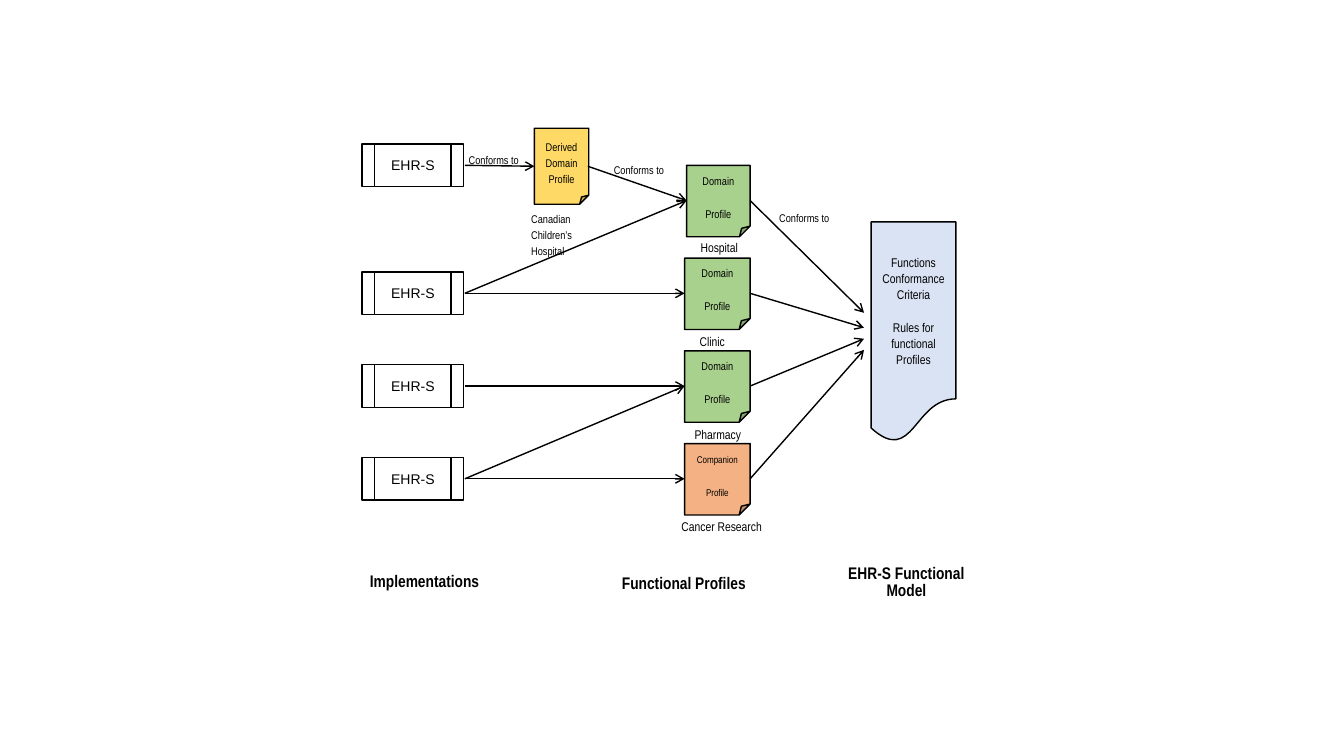
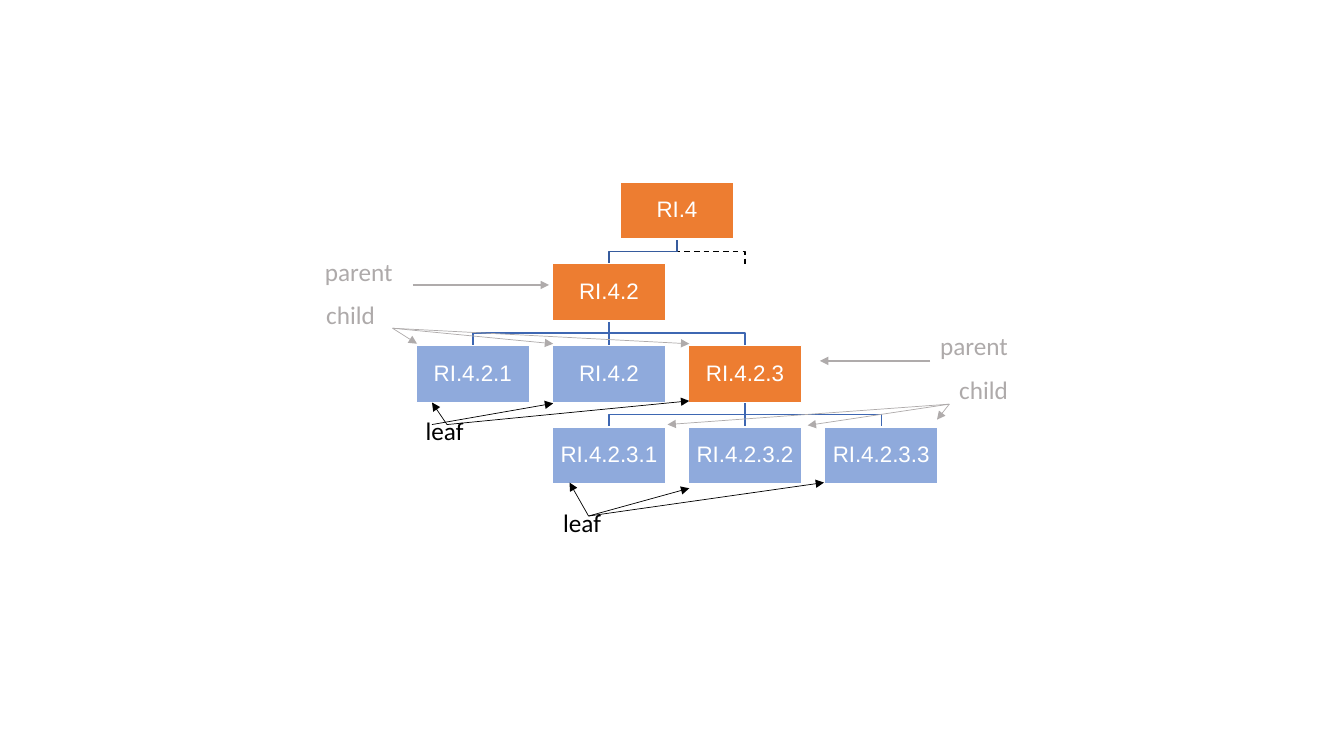
from dataclasses import dataclass

from lxml import etree
from pptx import Presentation
from pptx.dml.color import RGBColor
from pptx.enum.dml import MSO_LINE
from pptx.enum.shapes import MSO_CONNECTOR, MSO_SHAPE
from pptx.enum.text import MSO_ANCHOR, PP_ALIGN
from pptx.oxml.ns import qn
from pptx.util import Inches, Pt

PROCESS = MSO_SHAPE.FLOWCHART_PREDEFINED_PROCESS
DOCUMENT = MSO_SHAPE.FLOWCHART_DOCUMENT
FOLDED = MSO_SHAPE.FOLDED_CORNER
RECTANGLE = MSO_SHAPE.RECTANGLE
STRAIGHT = MSO_CONNECTOR.STRAIGHT
DASH = MSO_LINE.DASH
MIDDLE = MSO_ANCHOR.MIDDLE
CENTER = PP_ALIGN.CENTER
JUSTIFY = PP_ALIGN.JUSTIFY

COLORS = {
    "black": "000000", "white": "FFFFFF", "green": "A9D18E", "yellow": "FFD966",
    "salmon": "F4B183", "pale": "DAE3F3", "orange": "ED7D31", "blue": "8FAADC",
    "branch": "3E67B2", "trunk": "365B9D", "gray": "AEAAAA", "arrow": "AFABAB",
}
SANS, NARROW, LABEL = "Arial", "Arial Narrow", "Calibri"
BODY_SPACING = Pt(11.5)


@dataclass
class Grid:
    """Columns and rows, in inches, counted from an origin on the slide."""
    left: float
    top: float
    col: float
    row: float

    def point(self, col, row):
        """Return the slide position of a grid point."""
        return Inches(self.left + col * self.col), Inches(self.top + row * self.row)

    def box(self, col, row, cols, rows):
        """Return left, top, width and height of a block of cells."""
        return *self.point(col, row), Inches(cols * self.col), Inches(rows * self.row)


def rgb(name):
    """Look up a named colour."""
    return RGBColor.from_string(COLORS[name])


def write(frame, lines, font, size, color="black", align=CENTER, bold=False,
          spacing=BODY_SPACING, after=12):
    """Fill a text frame with one paragraph for each line."""
    frame.word_wrap = True
    for index, line in enumerate(lines):
        para = frame.paragraphs[0] if index == 0 else frame.add_paragraph()
        para.text = line
        para.alignment = align
        para.line_spacing = spacing
        para.space_after = Pt(after)
        para.font.name = font
        para.font.size = Pt(size)
        para.font.bold = bold
        para.font.color.rgb = rgb(color)


def add_label(page, box, text, font, size, **style):
    """Add a text box holding one paragraph."""
    label = page.shapes.add_textbox(*box)
    write(label.text_frame, [text], font, size, **style)


def add_block(page, kind, box, fill, line="black"):
    """Add a filled and outlined shape and return its text frame."""
    block = page.shapes.add_shape(kind, *box)
    block.shadow.inherit = False
    block.fill.solid()
    block.fill.fore_color.rgb = rgb(fill)
    block.line.color.rgb = rgb(line)
    block.line.width = Pt(1)
    block.text_frame.vertical_anchor = MIDDLE
    return block.text_frame


def add_line(page, start, end, color="black", width=1, head=None):
    """Add a straight connector, with an arrowhead at its end if one is named."""
    line = page.shapes.add_connector(STRAIGHT, *start, *end)
    line.line.color.rgb = rgb(color)
    line.line.width = Pt(width)
    props = line._element.spPr
    if head:
        etree.SubElement(props.find(qn("a:ln")), qn("a:tailEnd"), type=head)
    etree.SubElement(props, qn("a:effectLst"))


def add_branch(page, grid, parent, child, color="branch", dash=None):
    """Join the foot of a parent cell to the top of a child cell."""
    gap = NODE_ROWS / 2
    (col, row), (child_col, child_row) = parent, child
    bus = row + 0.5
    start, *corners = [grid.point(*spot) for spot in (
        (col, row + gap), (col, bus), (child_col, bus), (child_col, child_row - gap))]
    if col == child_col:
        add_line(page, start, corners[-1], color)
        return
    builder = page.shapes.build_freeform(*start)
    builder.add_line_segments(corners, close=False)
    branch = builder.convert_to_shape()
    branch.shadow.inherit = False
    branch.fill.background()
    branch.line.color.rgb = rgb(color)
    branch.line.width = Pt(1)
    if dash:
        branch.line.dash_style = dash


SYSTEM_ROWS = (-0.38, 1, 2, 3)
SYSTEM_RIGHT, DERIVED_LEFT, DERIVED_RIGHT = 1.02, 1.71, 2.24
PROFILE_LEFT, PROFILE_RIGHT, MODEL_LEFT = 3.2, 3.85, 5.05
DERIVED_ROW = -0.37
PROFILES = (
    ("Domain", "green", 8, 0.02),
    ("Domain", "green", 8, 0),
    ("Domain", "green", 8, 0),
    ("Companion", "salmon", 7, 0),
)
CAPTIONS = (
    ("Hospital", 3.26, 0.36, 1.12, 9),
    ("Clinic", 3.25, 1.37, 1.12, 9),
    ("Pharmacy", 3.2, 2.38, 1.12, 9),
    ("Cancer Research", 3.07, 3.37, 1.12, 9),
    ("Canadian Children’s Hospital", 1.58, 0.04, 0.9, 8),
    ("Conforms to", 0.96, -0.59, 0.78, 8),
    ("Conforms to", 2.4, -0.49, 0.76, 8),
    ("Conforms to", 4.04, 0.03, 0.76, 8),
)
HEADINGS = (
    ("Implementations", -0.02, 3.98, JUSTIFY),
    ("Functional Profiles", 2.48, 4, JUSTIFY),
    ("EHR-S Functional Model", 4.63, 3.9, CENTER),
)
MODEL_ENTRIES = (1.21, 1.37, 1.49, 1.61)
SYSTEM_LINKS = ((1, 0), (1, 1), (2, 2), (3, 2), (3, 3))


def draw_conformance(page, grid):
    """Draw systems, the profiles they conform to, and the functional model."""
    for row in SYSTEM_ROWS:
        frame = add_block(page, PROCESS, grid.box(0, row - 0.23, 1.01, 0.46), "white")
        write(frame, ["EHR-S"], SANS, 10)
    for row, (name, fill, size, inset) in enumerate(PROFILES):
        box = grid.box(PROFILE_LEFT + inset, row - 0.38,
                       PROFILE_RIGHT - PROFILE_LEFT - inset, 0.77)
        write(add_block(page, FOLDED, box, fill), [name, "Profile"], NARROW, size)
    derived = grid.box(DERIVED_LEFT, DERIVED_ROW - 0.41, 0.54, 0.82)
    write(add_block(page, FOLDED, derived, "yellow"), ["Derived Domain Profile"], NARROW, 8)
    model = grid.box(MODEL_LEFT, 0.23, 0.84, 2.38)
    write(add_block(page, DOCUMENT, model, "pale"),
          ["Functions Conformance Criteria", "Rules for functional Profiles"], NARROW, 9)

    for text, col, row, cols, size in CAPTIONS:
        add_label(page, grid.box(col, row, cols, 0.46), text, NARROW, size, align=JUSTIFY)
    for text, col, row, align in HEADINGS:
        add_label(page, grid.box(col, row, 1.54, 0.5), text, NARROW, 12,
                  align=align, bold=True)

    links = [((SYSTEM_RIGHT, SYSTEM_ROWS[0]), (DERIVED_LEFT, DERIVED_ROW)),
             ((DERIVED_RIGHT, DERIVED_ROW), (PROFILE_LEFT + PROFILES[0][3], 0))]
    links += [((SYSTEM_RIGHT, system), (PROFILE_LEFT + PROFILES[profile][3], profile))
              for system, profile in SYSTEM_LINKS]
    links += [((PROFILE_RIGHT, row), (MODEL_LEFT - 0.07, entry))
              for row, entry in enumerate(MODEL_ENTRIES)]
    for start, end in links:
        add_line(page, grid.point(*start), grid.point(*end), head="arrow")


NODE_COLS, NODE_ROWS = 0.83, 0.7
ROOT, SECTION, GROUP = (1.5, 0), (1, 1), (2, 2)
NODES = (
    ("RI.4", ROOT, "orange"),
    ("RI.4.2", SECTION, "orange"),
    ("RI.4.2.1", (0, 2), "blue"),
    ("RI.4.2", (1, 2), "blue"),
    ("RI.4.2.3", GROUP, "orange"),
    ("RI.4.2.3.1", (1, 3), "blue"),
    ("RI.4.2.3.2", (2, 3), "blue"),
    ("RI.4.2.3.3", (3, 3), "blue"),
)
ROLES = (
    ("parent", -1.16, 0.67, "gray"),
    ("child", -1.15, 1.2, "gray"),
    ("parent", 3.36, 1.58, "gray"),
    ("child", 3.5, 2.12, "gray"),
    ("leaf", -0.42, 2.62, "black"),
    ("leaf", 0.59, 3.74, "black"),
)
POINTERS = (
    ((-0.44, 0.91), "arrow", 1, [(0.56, 0.91)]),
    ((3.36, 1.84), "arrow", 1, [(2.55, 1.84)]),
    ((3.5, 2.37), "arrow", 0.5, [(1.43, 2.62), (2.46, 2.63), (3.41, 2.56)]),
    ((-0.59, 1.44), "arrow", 0.5, [(-0.41, 1.63), (0.59, 1.63), (1.59, 1.63)]),
    ((-0.19, 2.62), "black", 0.5, [(-0.3, 2.35), (1.59, 2.33)]),
    ((-0.3, 2.62), "black", 0.5, [(0.59, 2.36)]),
    ((0.85, 3.74), "black", 0.5, [(0.71, 3.33), (1.59, 3.4), (2.58, 3.33)]),
)


def draw_hierarchy(page, grid):
    """Draw the tree of functions and point out parents, children and leaves."""
    add_branch(page, grid, ROOT, (2, 1), "black", DASH)
    for col in (3, 2, 1):
        add_branch(page, grid, GROUP, (col, 3))
    for col in (2, 1, 0):
        add_branch(page, grid, SECTION, (col, 2))
    add_branch(page, grid, ROOT, SECTION, "trunk")

    for text, (col, row), fill in NODES:
        box = grid.box(col - NODE_COLS / 2, row - NODE_ROWS / 2, NODE_COLS, NODE_ROWS)
        frame = add_block(page, RECTANGLE, box, fill, "white")
        frame.margin_left = frame.margin_right = Inches(0.02)
        frame.margin_top = frame.margin_bottom = Inches(0.02)
        write(frame, [text], SANS, 16, "white", spacing=0.9, after=6.7)
    for text, col, row, color in ROLES:
        add_label(page, grid.box(col, row, 0.75, 0.6), text, LABEL, 18,
                  color=color, align=JUSTIFY)
    for start, color, width, targets in POINTERS:
        for target in targets:
            add_line(page, grid.point(*start), grid.point(*target), color, width, "triangle")


def main():
    """Build both slides and save the deck."""
    deck = Presentation()
    deck.slide_width, deck.slide_height = Inches(13.33), Inches(7.5)
    blank = deck.slide_layouts[6]
    draw_conformance(deck.slides.add_slide(blank), Grid(3.59, 1.99, 1, 0.92))
    draw_hierarchy(deck.slides.add_slide(blank), Grid(4.69, 2.09, 1.35, 0.81))
    deck.save("out.pptx")


if __name__ == "__main__":
    main()
